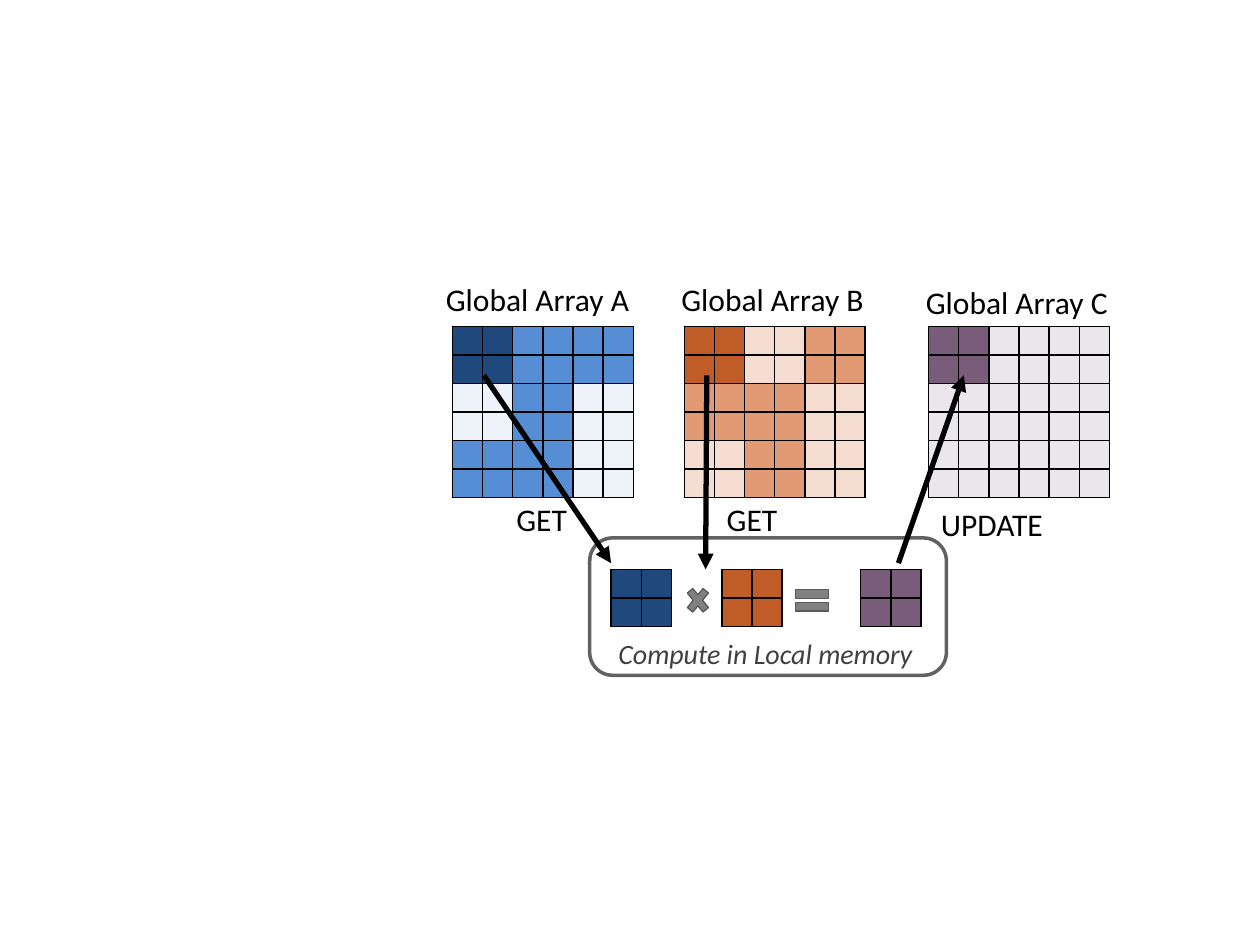
from lxml.etree import SubElement
from pptx import Presentation
from pptx.dml.color import RGBColor
from pptx.enum.shapes import MSO_CONNECTOR, MSO_SHAPE
from pptx.enum.text import MSO_AUTO_SIZE
from pptx.oxml.ns import qn
from pptx.util import Pt

BLACK = RGBColor(0x00, 0x00, 0x00)
WHITE = RGBColor(0xFF, 0xFF, 0xFF)
DARK_GRAY = RGBColor(0x40, 0x40, 0x40)
FRAME_GRAY = RGBColor(0x61, 0x61, 0x61)
SIGN_GRAY = RGBColor(0x80, 0x80, 0x80)
SIGN_EDGE = RGBColor(0x59, 0x59, 0x59)
NAVY = RGBColor(0x1F, 0x49, 0x7D)
BLUE = RGBColor(0x55, 0x8E, 0xD5)
PALE_BLUE = RGBColor(0xED, 0xF3, 0xF8)
RUST = RGBColor(0xBF, 0x5C, 0x28)
ORANGE = RGBColor(0xE2, 0x9A, 0x75)
PALE_ORANGE = RGBColor(0xF5, 0xDD, 0xD1)
PURPLE = RGBColor(0x79, 0x5B, 0x7A)
PALE_PURPLE = RGBColor(0xEB, 0xE5, 0xEC)

FONT = "Calibri"
BLOCK = 2  # cells along each side of a block
COLUMN_WIDTH, ROW_HEIGHT = 16.5, 16.3
ARRAY_TOP, LOCAL_TOP = 186.5, 325.4

# Matrices: left, top, colours of the blocks row by row
MATRICES = [
    (258.5, ARRAY_TOP, [[NAVY, BLUE, BLUE],
                        [PALE_BLUE, BLUE, PALE_BLUE],
                        [BLUE, BLUE, PALE_BLUE]]),
    (391, ARRAY_TOP, [[RUST, PALE_ORANGE, ORANGE],
                      [ORANGE, ORANGE, PALE_ORANGE],
                      [PALE_ORANGE, ORANGE, PALE_ORANGE]]),
    (530.6, ARRAY_TOP, [[PURPLE, PALE_PURPLE, PALE_PURPLE],
                        [PALE_PURPLE] * 3,
                        [PALE_PURPLE] * 3]),
    (349.2, LOCAL_TOP, [[NAVY]]),
    (412.5, LOCAL_TOP, [[RUST]]),
    (491.8, LOCAL_TOP, [[PURPLE]]),
]

# Arrows: start x, start y, end x, end y
ARROWS = [
    (276.5, 214.5, 349.2, 321.8),
    (403.9, 214.5, 403.2, 325.4),
    (513.4, 321.8, 550.8, 214.5),
]

# Shapes: kind, left, top, width, height, fill, line colour, line width
FRAME = (MSO_SHAPE.ROUNDED_RECTANGLE, 337, 307.4, 203.8, 78.5, WHITE, FRAME_GRAY, 2)
SIGNS = [
    (MSO_SHAPE.MATH_EQUAL, 451.4, 332.6, 25.2, 20.9, SIGN_GRAY, SIGN_EDGE, 0.75),
    (MSO_SHAPE.MATH_MULTIPLY, 390.2, 332.6, 17.3, 20.9, SIGN_GRAY, SIGN_EDGE, 0.75),
]

# Labels: text, left, top, width, height, wrap, size, colour, italic
LABELS = [
    ("GET", 288, 282.2, 43.2, 29, True, 18, BLACK, False),
    ("GET", 408.2, 282.2, 43.2, 29, True, 18, BLACK, False),
    ("UPDATE", 530.6, 285.1, 99.4, 29, True, 18, BLACK, False),
    ("Compute in Local memory", 346.3, 360, 189.4, 26.6, False, 16, DARK_GRAY, True),
    ("Global Array A", 247.7, 156.2, 121, 29, False, 18, BLACK, False),
    ("Global Array B", 382.3, 156.2, 120.2, 29, False, 18, BLACK, False),
    ("Global Array C", 522, 158.4, 120.2, 29, False, 18, BLACK, False),
]

presentation = Presentation()
presentation.slide_width, presentation.slide_height = Pt(720), Pt(540)
slide = presentation.slides.add_slide(presentation.slide_layouts[6])


def add_shape(kind, left, top, width, height, fill, line, line_width):
    shape = slide.shapes.add_shape(kind, Pt(left), Pt(top), Pt(width), Pt(height))
    shape.shadow.inherit = False
    shape.fill.solid()
    shape.fill.fore_color.rgb = fill
    shape.line.color.rgb = line
    shape.line.width = Pt(line_width)


def format_cell(cell, color):
    cell.margin_top = cell.margin_bottom = 0
    cell.text_frame.paragraphs[0].font.size = Pt(8)
    properties = cell._tc.get_or_add_tcPr()
    for side in ("a:lnL", "a:lnR", "a:lnT", "a:lnB"):
        border = SubElement(properties, qn(side), w=str(Pt(1)))
        fill = SubElement(border, qn("a:solidFill"))
        SubElement(fill, qn("a:srgbClr"), val=str(BLACK))
    cell.fill.solid()
    cell.fill.fore_color.rgb = color


def add_matrix(left, top, blocks):
    count = len(blocks) * BLOCK
    table = slide.shapes.add_table(
        count, count, Pt(left), Pt(top),
        Pt(count * COLUMN_WIDTH), Pt(count * ROW_HEIGHT)).table
    table.first_row = table.horz_banding = False
    for column in table.columns:
        column.width = Pt(COLUMN_WIDTH)
    for r, row in enumerate(table.rows):
        row.height = Pt(ROW_HEIGHT)
        for c, cell in enumerate(row.cells):
            format_cell(cell, blocks[r // BLOCK][c // BLOCK])


def add_arrow(*ends):
    arrow = slide.shapes.add_connector(MSO_CONNECTOR.STRAIGHT, *map(Pt, ends))
    arrow.line.color.rgb = BLACK
    arrow.line.width = Pt(3)
    SubElement(arrow.line._get_or_add_ln(), qn("a:tailEnd"), type="triangle")
    SubElement(arrow._element.spPr, qn("a:effectLst"))


def add_label(text, left, top, width, height, wrap, size, color, italic):
    frame = slide.shapes.add_textbox(Pt(left), Pt(top), Pt(width), Pt(height)).text_frame
    frame.word_wrap = wrap
    frame.auto_size = MSO_AUTO_SIZE.SHAPE_TO_FIT_TEXT
    paragraph = frame.paragraphs[0]
    paragraph.text = text
    font = paragraph.font
    font.name, font.size, font.italic = FONT, Pt(size), italic
    font.color.rgb = color


# Local memory frame, then everything on top of it
add_shape(*FRAME)
for matrix in MATRICES:
    add_matrix(*matrix)
for arrow_ends in ARROWS:
    add_arrow(*arrow_ends)
for sign in SIGNS:
    add_shape(*sign)
for label in LABELS:
    add_label(*label)

presentation.save("out.pptx")
